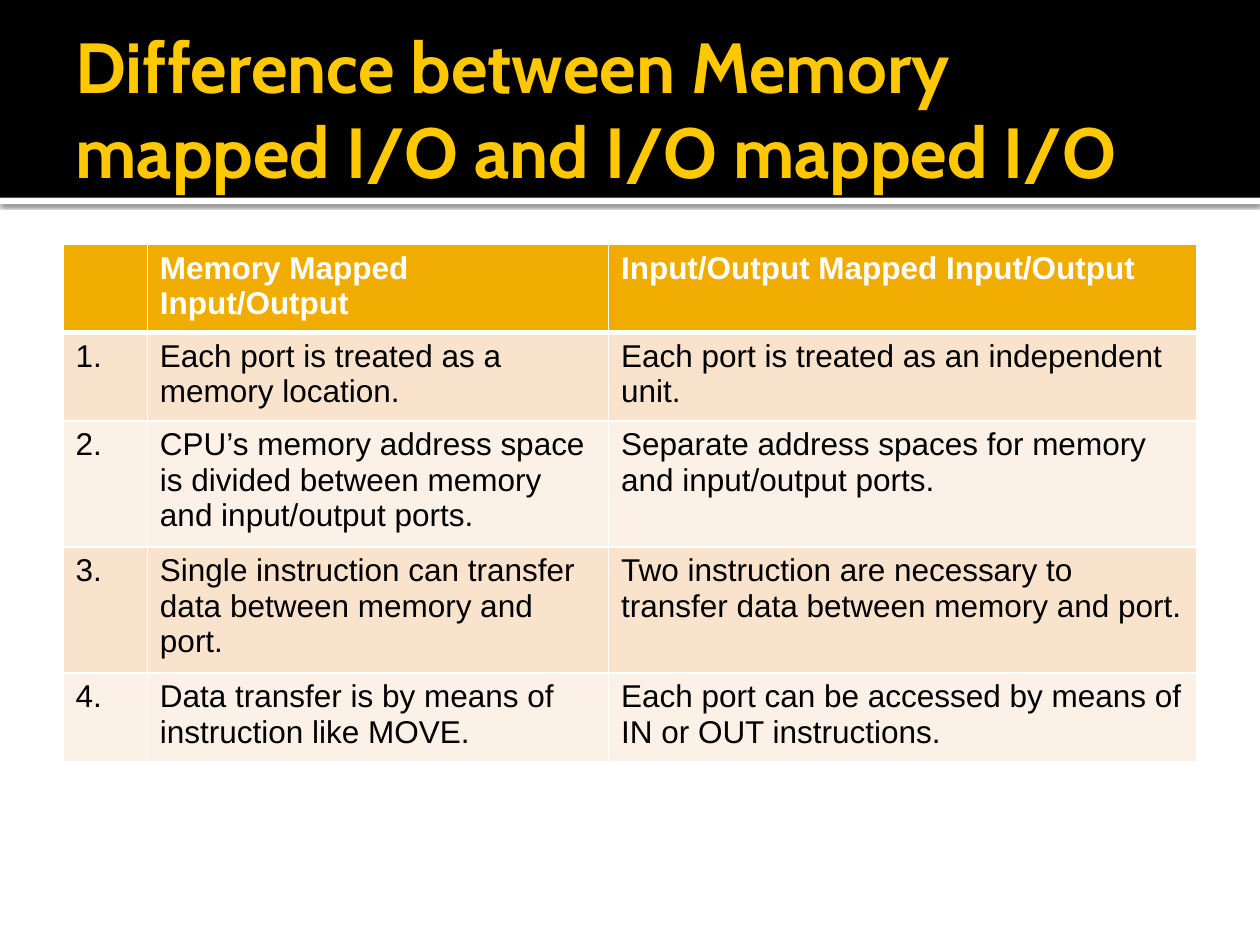
from lxml import etree
from pptx import Presentation
from pptx.dml.color import RGBColor
from pptx.enum.shapes import MSO_SHAPE
from pptx.enum.text import MSO_ANCHOR
from pptx.oxml import parse_xml
from pptx.util import Inches, Pt

RECT = MSO_SHAPE.RECTANGLE
MIDDLE = MSO_ANCHOR.MIDDLE
NS = "http://schemas.openxmlformats.org/drawingml/2006/main"
COLORS = {
    "white": "FFFFFF",
    "black": "000000",
    "title": "FFC800",
    "header": "F0AD00",
    "odd": "F9E3CC",
    "even": "FCF1E7",
}
COL_WIDTHS = [0.67, 3.66, 4.67]
ROW_HEIGHT = 0.41
ROWS = [
    ("", "Memory Mapped Input/Output", "Input/Output Mapped Input/Output"),
    ("1.", "Each port is treated as a memory location.",
     "Each port is treated as an independent unit."),
    ("2.", "CPU’s memory address space is divided between memory and input/output ports.",
     "Separate address spaces for memory and input/output ports."),
    ("3.", "Single instruction can transfer data between memory and port.",
     "Two instruction are necessary to transfer data between memory and port."),
    ("4.", "Data transfer is by means of instruction like MOVE.",
     "Each port can be accessed by means of IN or OUT instructions."),
]


def rgb(name):
    return RGBColor.from_string(COLORS[name])


def set_font(p, name, size, color, bold):
    p.font.name = name
    p.font.size = Pt(size)
    p.font.bold = bold
    p.font.color.rgb = rgb(color)


def add_band(s, top, height, color):
    sp = s.shapes.add_shape(RECT, 0, Inches(top), Inches(10), Inches(height))
    sp.shadow.inherit = False
    sp.fill.solid()
    sp.fill.fore_color.rgb = rgb(color)
    sp.line.fill.background()
    return sp


def add_shadow(sp):
    effects = sp._element.spPr.find(f"{{{NS}}}effectLst")
    effects.append(parse_xml(
        f'<a:outerShdw xmlns:a="{NS}" blurRad="{Pt(2.5)}" dist="{Pt(0.8)}" '
        f'dir="5400000" rotWithShape="0"><a:srgbClr val="{COLORS["black"]}">'
        '<a:alpha val="60000"/></a:srgbClr></a:outerShdw>'))


def add_title(s, text):
    box = s.shapes.add_textbox(Inches(0.5), Inches(0.17), Inches(9), Inches(1.37))
    tf = box.text_frame
    tf.word_wrap = True
    tf.vertical_anchor = MIDDLE
    tf.margin_right = Inches(0.05)
    p = tf.paragraphs[0]
    p.text = text
    set_font(p, "Cabin", 40.5, "title", True)


def set_border(cell, side, width):
    ln = etree.SubElement(cell._tc.get_or_add_tcPr(), f"{{{NS}}}ln{side}", w=str(Pt(width)))
    fill = etree.SubElement(ln, f"{{{NS}}}solidFill")
    etree.SubElement(fill, f"{{{NS}}}srgbClr", val=COLORS["white"])


def style_cell(cell, text, row):
    is_header = row == 0
    widths = {"L": 1, "R": 1, "T": 3 if row == 1 else 1, "B": 3 if is_header else 1}
    for side, width in widths.items():
        set_border(cell, side, width)
    cell.fill.solid()
    cell.fill.fore_color.rgb = rgb("header" if is_header else "odd" if row % 2 else "even")
    p = cell.text_frame.paragraphs[0]
    p.text = text
    set_font(p, "Arial", 18, "white" if is_header else "black", is_header)


def add_comparison(s):
    height = Inches(3.51)
    frame = s.shapes.add_table(len(ROWS), len(COL_WIDTHS), Inches(0.5), Inches(1.94),
                               Inches(9), height)
    table = frame.table
    for column, width in zip(table.columns, COL_WIDTHS):
        column.width = Inches(width)
    for i, texts in enumerate(ROWS):
        table.rows[i].height = Inches(ROW_HEIGHT)
        for j, text in enumerate(texts):
            style_cell(table.cell(i, j), text, i)
    frame.height = height


def main():
    prs = Presentation()
    prs.slide_width = Inches(10)
    prs.slide_height = Inches(7.5)
    s = prs.slides.add_slide(prs.slide_layouts[6])
    add_shadow(add_band(s, 1.57, 0.05, "white"))
    add_band(s, 0, 1.57, "black")
    add_title(s, "Difference between Memory mapped I/O and I/O mapped I/O")
    add_comparison(s)
    prs.save("out.pptx")


if __name__ == "__main__":
    main()
